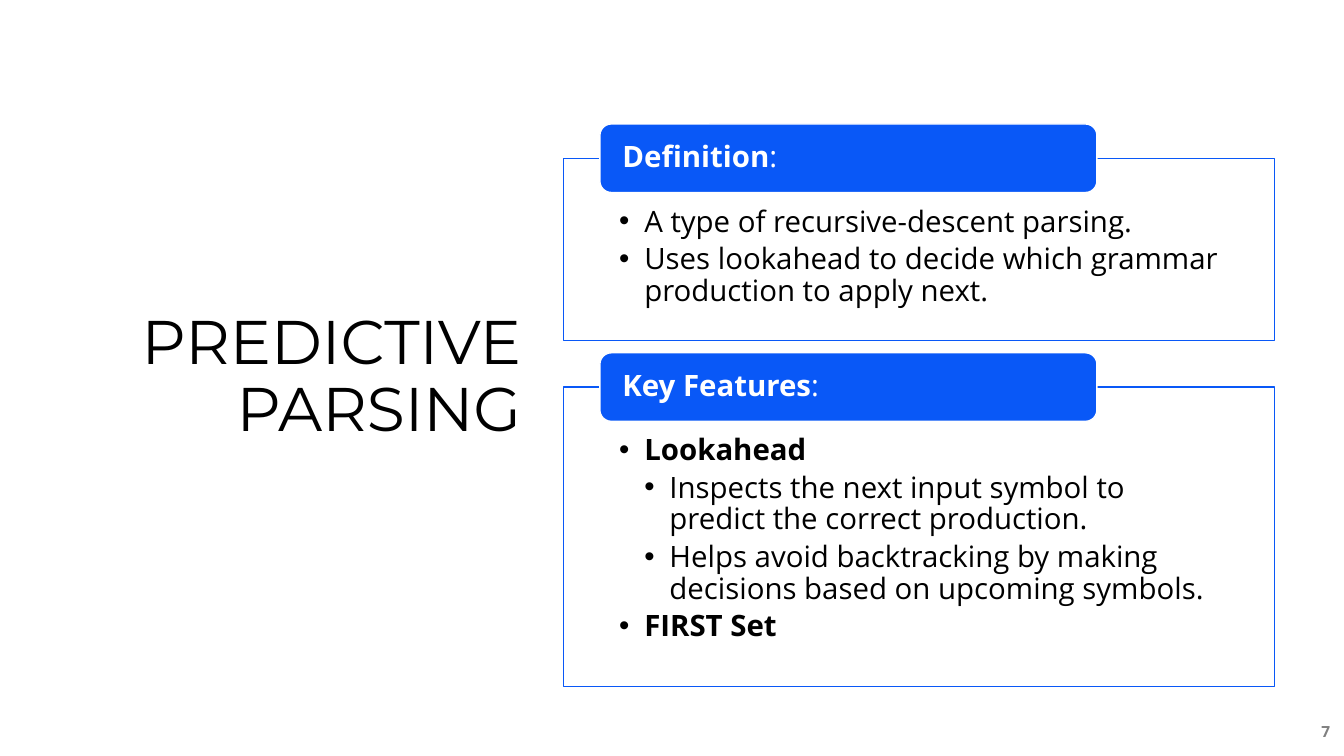
from lxml import etree
from pptx import Presentation
from pptx.dml.color import RGBColor
from pptx.enum import shapes, text
from pptx.oxml import ns
from pptx.util import Inches, Pt

# Content: each bullet is (level, text, bold)
TITLE = "PREDICTIVE PARSING"
PAGE_NUMBER = "7"
SECTIONS = [
    {"heading": "Definition", "top": 1.57, "height": 1.81, "bullets": [
        (1, "A type of recursive-descent parsing.", False),
        (1, "Uses lookahead to decide which grammar production to apply next.", False),
    ]},
    {"heading": "Key Features", "top": 3.84, "height": 2.97, "bullets": [
        (1, "Lookahead", True),
        (2, "Inspects the next input symbol to predict the correct production.", False),
        (2, "Helps avoid backtracking by making decisions based on upcoming symbols.", False),
        (1, "FIRST Set", True),
    ]},
]

# Style
BLUE = RGBColor(0x09, 0x58, 0xF7)
WHITE = RGBColor(0xFF, 0xFF, 0xFF)
BLACK = RGBColor(0, 0, 0)
GRAY = RGBColor(0x80, 0x80, 0x80)
PANEL_LEFT, PANEL_WIDTH = 5.59, 7.05
TAB_LEFT, TAB_WIDTH, TAB_HEIGHT = 5.95, 4.93, 0.68
BULLET_INDENT = 0.25


def set_frame(shape, insets, anchor):
    frame = shape.text_frame
    frame.word_wrap = True
    frame.vertical_anchor = anchor
    (frame.margin_left, frame.margin_top,
     frame.margin_right, frame.margin_bottom) = map(Inches, insets)
    return frame


def add_bullet(paragraph, level):
    properties = paragraph._p.get_or_add_pPr()
    properties.set("marL", str(Inches(BULLET_INDENT * level)))
    properties.set("indent", str(-Inches(BULLET_INDENT)))
    etree.SubElement(properties, ns.qn("a:buFont"), typeface="Arial")
    etree.SubElement(properties, ns.qn("a:buChar"), char="•")


def write(paragraph, words, *, size=21, font="Open Sans", color=BLACK, bold=False,
          align=text.PP_ALIGN.LEFT, line_spacing=0.9, after=0):
    paragraph.alignment = align
    paragraph.line_spacing = line_spacing
    paragraph.space_after = Pt(after)
    run = paragraph.add_run()
    run.text = words
    run.font.size = Pt(size)
    run.font.name = font
    run.font.color.rgb = color
    run.font.bold = bold


def add_box(slide, kind, place, fill, line):
    shape = slide.shapes.add_shape(kind, *map(Inches, place))
    shape.shadow.inherit = False
    shape.fill.solid()
    shape.fill.fore_color.rgb = fill
    shape.line.color.rgb = line
    shape.line.width = Pt(1)
    return shape


def add_label(slide, place, words, **style):
    label = slide.shapes.add_textbox(*map(Inches, place))
    frame = set_frame(label, (0.1, 0.05, 0.1, 0.05), text.MSO_ANCHOR.MIDDLE)
    write(frame.paragraphs[0], words, align=text.PP_ALIGN.RIGHT, **style)


def add_section(slide, section):
    # Outlined panel with its bullets
    top = section["top"]
    panel = add_box(slide, shapes.MSO_SHAPE.RECTANGLE,
                    (PANEL_LEFT, top, PANEL_WIDTH, section["height"]), WHITE, BLUE)
    frame = set_frame(panel, (0.55, 0.48, 0.55, 0.16), text.MSO_ANCHOR.TOP)
    for index, (level, words, bold) in enumerate(section["bullets"]):
        paragraph = frame.add_paragraph() if index else frame.paragraphs[0]
        add_bullet(paragraph, level)
        write(paragraph, words, bold=bold, after=4)

    # Heading tab centred on the panel's top edge
    tab = add_box(slide, shapes.MSO_SHAPE.ROUNDED_RECTANGLE,
                  (TAB_LEFT, top - TAB_HEIGHT / 2, TAB_WIDTH, TAB_HEIGHT), BLUE, WHITE)
    frame = set_frame(tab, (0.19, 0, 0.19, 0), text.MSO_ANCHOR.MIDDLE)
    for words, bold in ((section["heading"], True), (":", False)):
        write(frame.paragraphs[0], words, color=WHITE, bold=bold)


def main():
    presentation = Presentation()
    presentation.slide_width = Inches(13.33)
    presentation.slide_height = Inches(7.5)
    slide = presentation.slides.add_slide(presentation.slide_layouts[6])

    add_label(slide, (0.66, 0.62, 4.61, 6.26), TITLE, size=44, font="Montserrat")
    for section in SECTIONS:
        add_section(slide, section)
    add_label(slide, (12.8, 7.06, 0.49, 0.4), PAGE_NUMBER,
              size=11, color=GRAY, bold=True, line_spacing=1.0, after=6)
    presentation.save("out.pptx")


if __name__ == "__main__":
    main()
